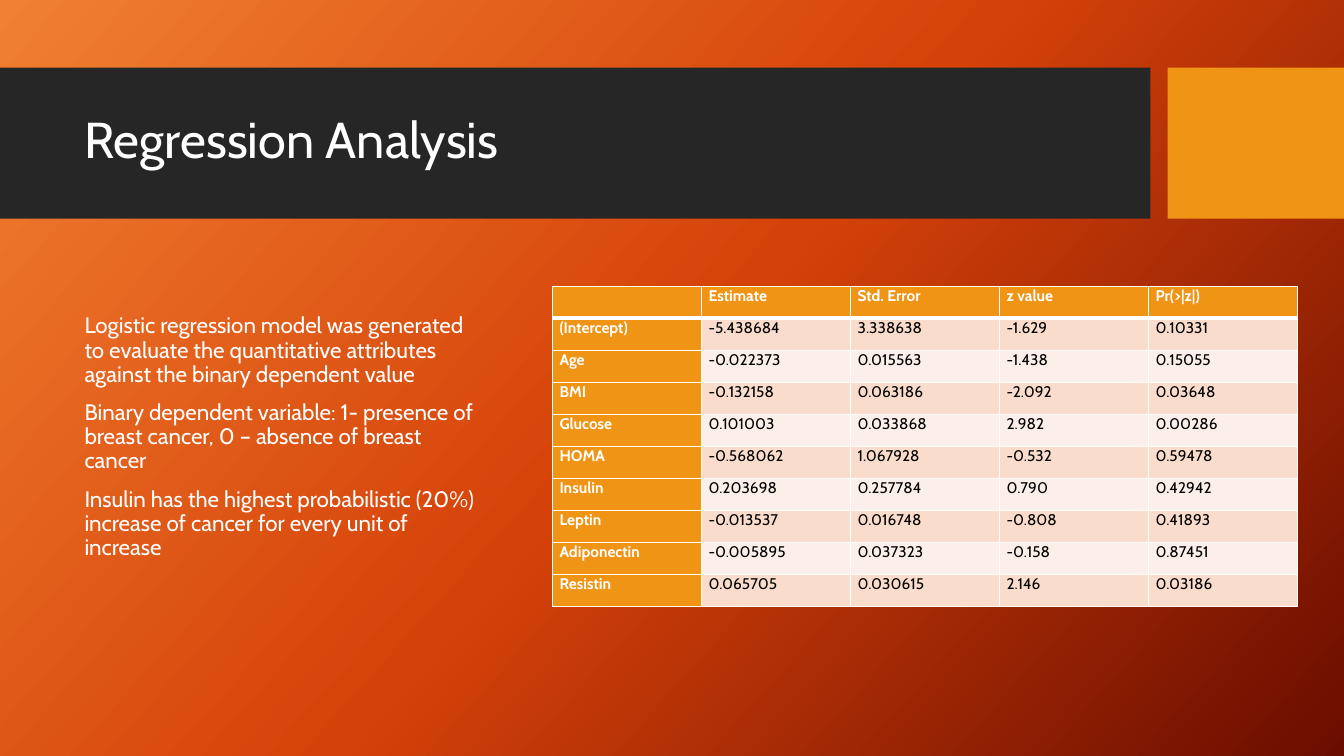
from copy import deepcopy

from lxml.etree import fromstring
from pptx import Presentation
from pptx.dml.color import RGBColor
from pptx.enum.shapes import MSO_SHAPE
from pptx.enum.text import MSO_ANCHOR
from pptx.util import Inches, Pt

WHITE = RGBColor(0xFF, 0xFF, 0xFF)
BLACK = RGBColor(0x00, 0x00, 0x00)
CHARCOAL = RGBColor(0x26, 0x26, 0x26)
AMBER = RGBColor(0xF0, 0x94, 0x15)
PEACH = RGBColor(0xF9, 0xDC, 0xCC)
PALE_PEACH = RGBColor(0xFC, 0xEE, 0xE8)
GRADIENT = [
    (0, RGBColor(0xF1, 0x80, 0x31)),
    (0.5, RGBColor(0xD5, 0x42, 0x09)),
    (1, RGBColor(0x6A, 0x0D, 0x00)),
]
DRAWING = "http://schemas.openxmlformats.org/drawingml/2006/main"

FINDINGS = [
    "Logistic regression model was generated to evaluate the quantitative "
    "attributes against the binary dependent value",
    "Binary dependent variable: 1- presence of breast cancer, "
    "0 – absence of breast cancer",
    "Insulin has the highest probabilistic (20%) increase of cancer "
    "for every unit of increase",
]
COEFFICIENTS = [
    ["", "Estimate", "Std. Error", "z value", "Pr(>|z|)"],
    ["(Intercept)", "-5.438684", "3.338638", "-1.629", "0.10331"],
    ["Age", "-0.022373", "0.015563", "-1.438", "0.15055"],
    ["BMI", "-0.132158", "0.063186", "-2.092", "0.03648"],
    ["Glucose", "0.101003", "0.033868", "2.982", "0.00286"],
    ["HOMA", "-0.568062", "1.067928", "-0.532", "0.59478"],
    ["Insulin", "0.203698", "0.257784", "0.790", "0.42942"],
    ["Leptin", "-0.013537", "0.016748", "-0.808", "0.41893"],
    ["Adiponectin", "-0.005895", "0.037323", "-0.158", "0.87451"],
    ["Resistin", "0.065705", "0.030615", "2.146", "0.03186"],
]


class SlideBuilder:
    """Holds the type style and the current slide, and draws each kind of element."""

    def __init__(self, page, font_name):
        self.page = page
        self.font_name = font_name

    def apply(self, target, values):
        for name, value in values.items():
            setattr(target, name, value)

    def background(self, stops, angle):
        fill = self.page.background.fill
        fill.gradient()
        fill.gradient_angle = 360 - angle
        stop_list = self.page.element.xpath(".//a:gsLst")[0]
        stop_list.insert(1, deepcopy(stop_list[0]))
        for stop, (position, color) in zip(fill.gradient_stops, stops):
            stop.position = position
            stop.color.rgb = color

    def block(self, left, top, width, height, color):
        shape = self.page.shapes.add_shape(
            MSO_SHAPE.RECTANGLE, *map(Inches, (left, top, width, height)))
        shape.shadow.inherit = False
        shape.fill.solid()
        shape.fill.fore_color.rgb = color
        shape.line.fill.background()

    def add_span(self, para, text, size, color, bold=False):
        span = para.add_run()
        span.text = text
        self.apply(span.font, {"name": self.font_name, "size": Pt(size), "bold": bold})
        span.font.color.rgb = color

    def text(self, left, top, width, height, lines, size, space_before=0):
        box = self.page.shapes.add_textbox(*map(Inches, (left, top, width, height)))
        frame = box.text_frame
        self.apply(frame, {"word_wrap": True, "vertical_anchor": MSO_ANCHOR.MIDDLE})
        for index, line in enumerate(lines):
            para = frame.add_paragraph() if index else frame.paragraphs[0]
            self.apply(para, {"line_spacing": 0.9, "space_before": Pt(space_before)})
            self.add_span(para, line, size, WHITE)

    def borders(self, cell, widths):
        for index, (side, width) in enumerate(widths.items()):
            line = fromstring(
                f'<a:ln{side} xmlns:a="{DRAWING}" w="{Pt(width)}">'
                f'<a:solidFill><a:srgbClr val="{WHITE}"/></a:solidFill></a:ln{side}>')
            cell._tc.get_or_add_tcPr().insert(index, line)

    def table(self, left, top, width, height, rows, size):
        grid = self.page.shapes.add_table(
            len(rows), len(rows[0]), *map(Inches, (left, top, width, height))).table
        for row, values in enumerate(rows):
            for column, value in enumerate(values):
                cell = grid.cell(row, column)
                heading = row == 0 or column == 0
                self.apply(cell, {"margin_left": Inches(0.07), "margin_right": Inches(0.07),
                                  "margin_top": 0, "margin_bottom": 0})
                cell.fill.solid()
                cell.fill.fore_color.rgb = (
                    AMBER if heading else PEACH if row % 2 else PALE_PEACH)
                self.borders(cell, {"L": 1, "R": 1, "T": 3 if row == 1 else 1,
                                    "B": 3 if row == 0 else 1})
                if value:
                    self.add_span(cell.text_frame.paragraphs[0], value, size,
                                  WHITE if heading else BLACK, heading)


def main():
    deck = Presentation()
    deck.slide_width, deck.slide_height = Inches(13.33), Inches(7.5)
    builder = SlideBuilder(deck.slides.add_slide(deck.slide_layouts[6]), "Cabin")
    builder.background(GRADIENT, 42)
    builder.block(0, 0.67, 11.41, 1.5, CHARCOAL)
    builder.block(11.58, 0.67, 1.75, 1.5, AMBER)
    builder.text(0.74, 0.82, 10.51, 1.18, ["Regression Analysis"], 36)
    builder.table(5.48, 2.84, 7.39, 3.18, COEFFICIENTS, 11)
    builder.text(0.74, 2.56, 4.14, 3.56, FINDINGS, 16, space_before=10)
    deck.save("out.pptx")


if __name__ == "__main__":
    main()
